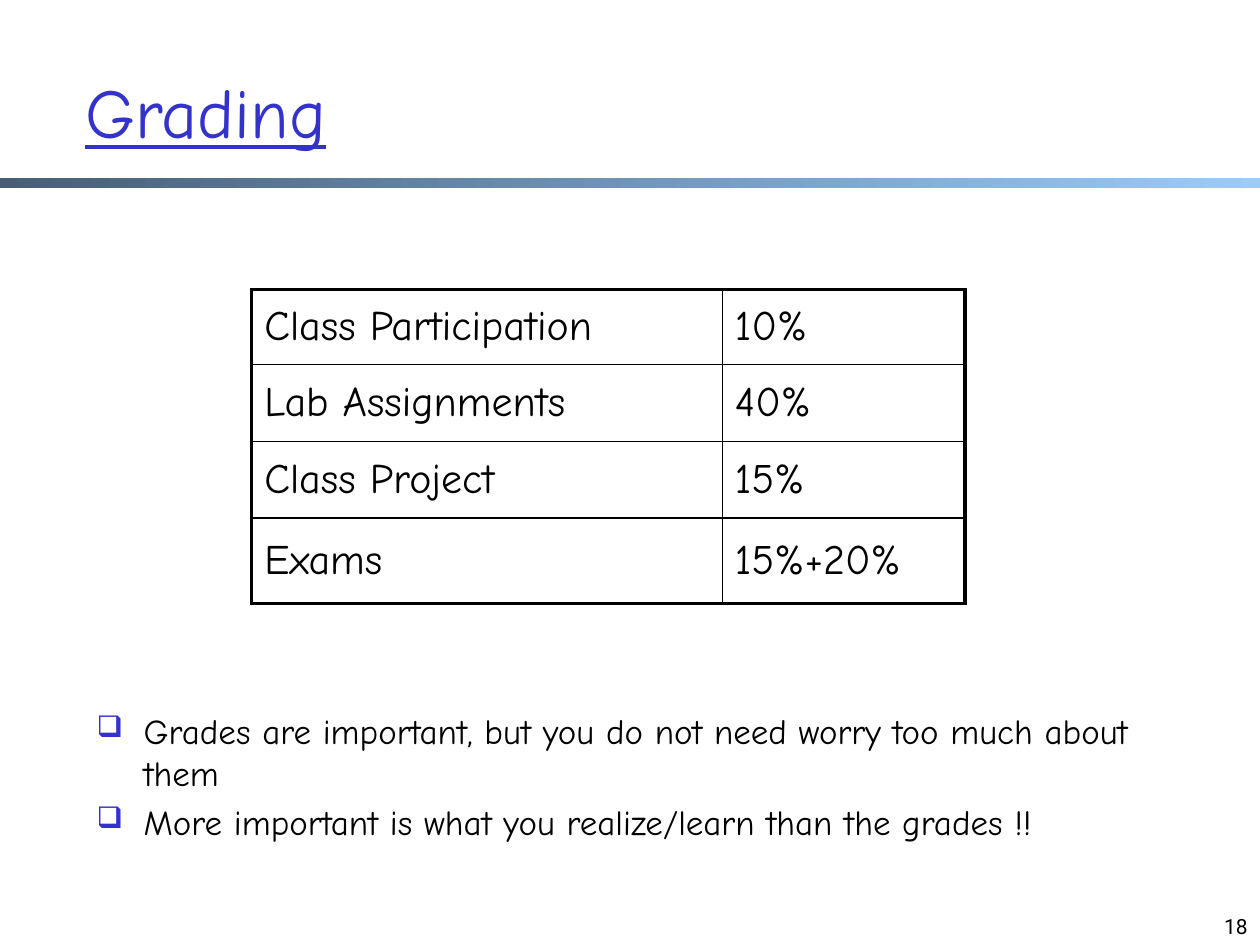
import pptx
import pptx.dml.color
import pptx.enum.shapes
import pptx.enum.text
import pptx.oxml
import pptx.oxml.ns
import pptx.util
from pptx.util import Cm

COLORS = {"title": "3333CC", "text": "000000", "bar_start": "475E76", "bar_end": "99CCFF"}
FONT = "Comic Neue"
GRADES = [
    ("Class Participation", "10%"),
    ("Lab Assignments", "40%"),
    ("Class Project", "15%"),
    ("Exams", "15%+20%"),
]
COLUMN_WIDTHS = [9.5, 4.9]
ROW_HEIGHTS = [1.52, 1.55, 1.55, 1.73]
REMARKS = [
    "Grades are important, but you do not need worry too much about them",
    "More important is what you realize/learn than the grades !!",
]


def rgb(name):
    return pptx.dml.color.RGBColor.from_string(COLORS[name])


def xml(text):
    return pptx.oxml.parse_xml(text.replace(">", f" {pptx.oxml.ns.nsdecls('a')}>", 1))


def style(p, size, color="text", name=FONT):
    p.font.name = name
    p.font.size = pptx.util.Pt(size)
    p.font.color.rgb = rgb(color)


def add_title(s, text):
    sp = s.shapes.title
    sp.left, sp.top, sp.width, sp.height = Cm(1.47), Cm(0.64), Cm(21.62), Cm(3.18)
    tf = sp.text_frame
    tf.text = text
    tf.auto_size = pptx.enum.text.MSO_AUTO_SIZE.NONE
    tf.vertical_anchor = pptx.enum.text.MSO_ANCHOR.MIDDLE
    p = tf.paragraphs[0]
    p.alignment = pptx.enum.text.PP_ALIGN.LEFT
    style(p, 40, "title")
    p.font.underline = True


def add_bar(s, width):
    sp = s.shapes.add_shape(
        pptx.enum.shapes.MSO_SHAPE.RECTANGLE, 0, Cm(3.6), width, Cm(0.2))
    sp.shadow.inherit = False
    sp.line.fill.background()
    sp.fill.gradient()
    sp.fill.gradient_angle = 0
    for stop, name in zip(sp.fill.gradient_stops, ("bar_start", "bar_end")):
        stop.color.rgb = rgb(name)


def add_text(s, left, top, width, height):
    tf = s.shapes.add_textbox(Cm(left), Cm(top), Cm(width), Cm(height)).text_frame
    tf.word_wrap = True
    return tf


def set_borders(cell, widths):
    tc_pr = cell._tc.get_or_add_tcPr()
    for i, (side, width) in enumerate(zip("LRTB", widths)):
        tc_pr.insert(i, xml(
            f'<a:ln{side} w="{pptx.util.Pt(width)}"><a:solidFill>'
            f'<a:srgbClr val="{COLORS["text"]}"/></a:solidFill></a:ln{side}>'))


def add_grades(s):
    table = s.shapes.add_table(
        len(GRADES), len(COLUMN_WIDTHS), Cm(5.08), Cm(5.84),
        Cm(sum(COLUMN_WIDTHS)), Cm(sum(ROW_HEIGHTS))).table
    table.first_row = table.horz_banding = False
    for column, width in zip(table.columns, COLUMN_WIDTHS):
        column.width = Cm(width)
    last_row, last_column = len(GRADES) - 1, len(COLUMN_WIDTHS) - 1
    for i, texts in enumerate(GRADES):
        table.rows[i].height = Cm(ROW_HEIGHTS[i])
        for j, text in enumerate(texts):
            cell = table.cell(i, j)
            cell.text = text
            cell.vertical_anchor = pptx.enum.text.MSO_ANCHOR.MIDDLE
            cell.fill.background()
            style(cell.text_frame.paragraphs[0], 24)
            outer = (j == 0, j == last_column, i == 0, i == last_row)
            set_borders(cell, [2.25 if edge else 1 for edge in outer])


def add_bullet(p):
    p_pr = p._p.get_or_add_pPr()
    p_pr.set("marL", str(Cm(0.95)))
    p_pr.set("indent", str(Cm(-0.95)))
    for tag in (f'<a:buClr><a:srgbClr val="{COLORS["title"]}"/></a:buClr>',
                '<a:buSzPct val="85000"></a:buSzPct>',
                '<a:buChar char="❑"></a:buChar>'):
        p_pr.append(xml(tag))


def add_remarks(s):
    tf = add_text(s, 1.7, 14.2, 21.39, 4.24)
    for i, text in enumerate(REMARKS):
        p = tf.add_paragraph() if i else tf.paragraphs[0]
        p.text = text
        add_bullet(p)
        style(p, 20)
        if i:
            p.space_before = pptx.util.Pt(4)


def add_number(s, text):
    tf = add_text(s, 19.51, 17.81, 5.92, 1.27)
    tf.vertical_anchor = pptx.enum.text.MSO_ANCHOR.BOTTOM
    p = tf.paragraphs[0]
    p.text = text
    p.alignment = pptx.enum.text.PP_ALIGN.RIGHT
    style(p, 12, name="Roboto")


def main():
    prs = pptx.Presentation()
    prs.slide_width, prs.slide_height = Cm(25.43), Cm(19.08)
    s = prs.slides.add_slide(prs.slide_layouts[5])
    add_bar(s, prs.slide_width)
    add_title(s, "Grading")
    add_grades(s)
    add_remarks(s)
    add_number(s, "18")
    prs.save("out.pptx")


if __name__ == "__main__":
    main()
